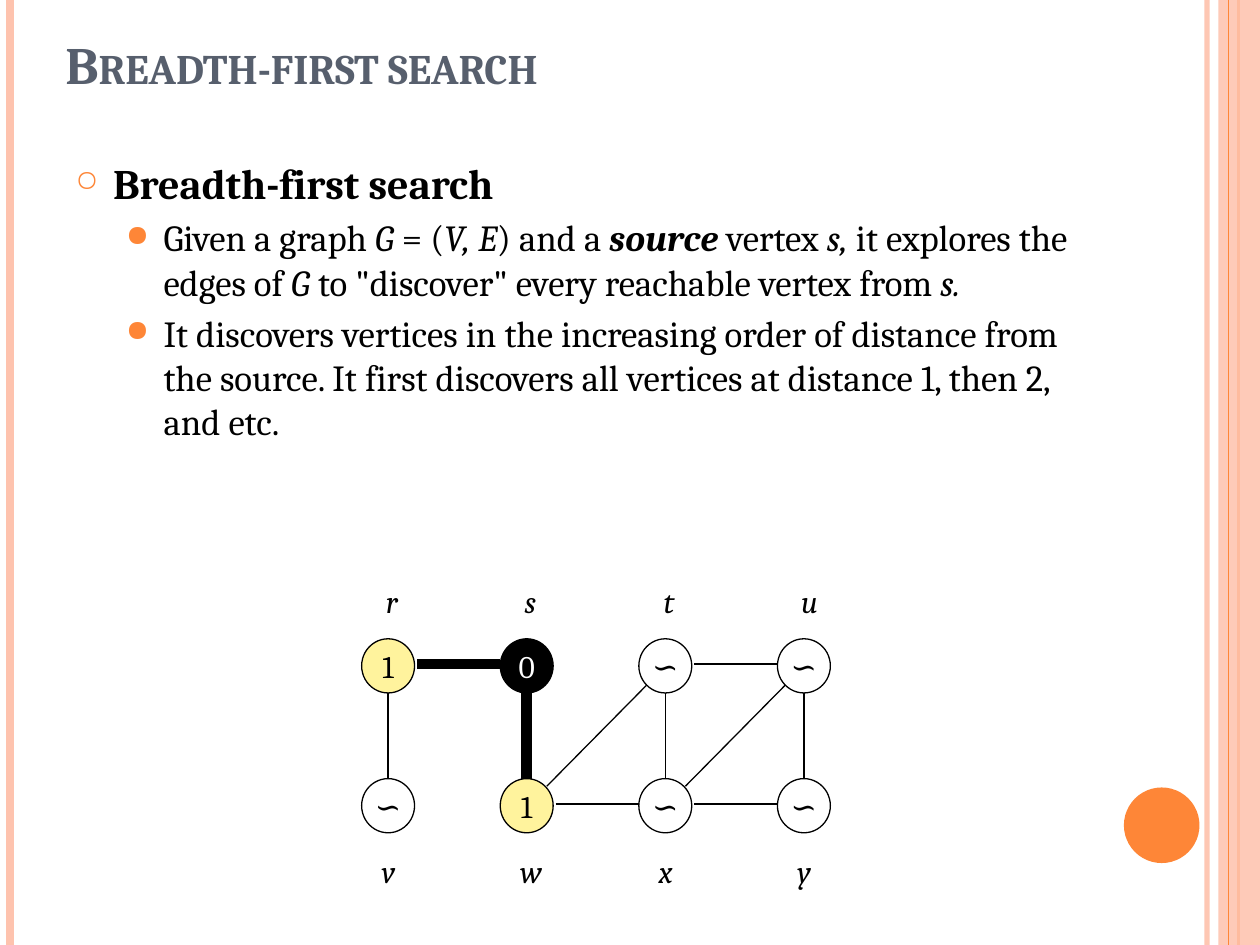
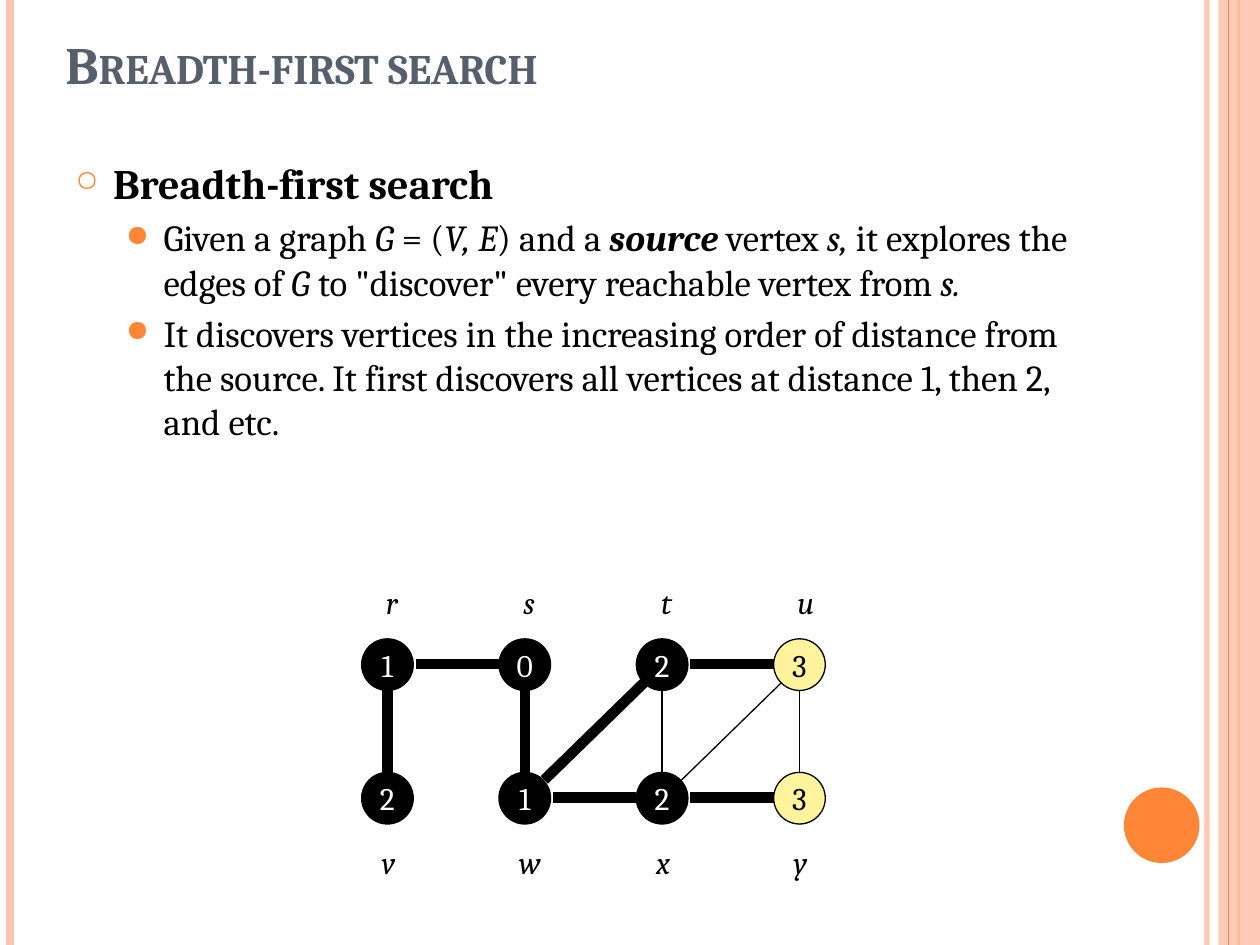
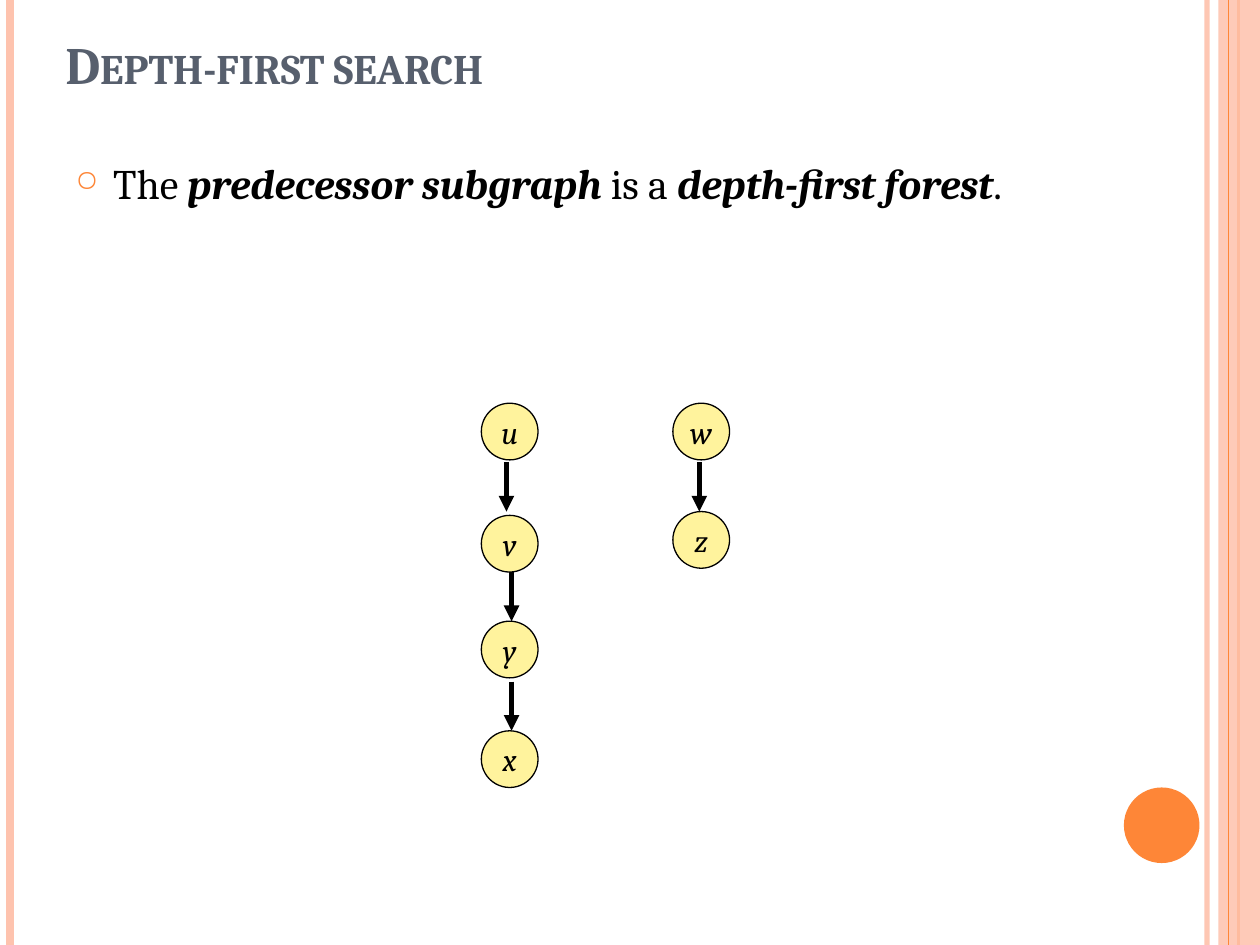
"""Three slides on breadth-first and depth-first graph search."""
from lxml import etree
from pptx import Presentation
from pptx.dml.color import RGBColor
from pptx.enum import shapes, text
from pptx.oxml.ns import qn
from pptx.util import Inches, Pt

BLACK = RGBColor(0, 0, 0)
WHITE = RGBColor(255, 255, 255)
YELLOW = RGBColor(0xFF, 0xF3, 0x9D)
ORANGE = RGBColor(0xFE, 0x86, 0x37)
PEACH = RGBColor(0xFE, 0xC3, 0xAE)
SLATE = RGBColor(0x57, 0x5F, 0x6D)
FONT = "Cambria"
OVAL = shapes.MSO_SHAPE.OVAL
RECT = shapes.MSO_SHAPE.RECTANGLE

LEVELS = [
    dict(size=24, left=0.3, gap=6, mark="○", scale=70),
    dict(size=21, left=0.7, gap=4.2, mark="●", scale=80),
]
BREADTH = [
    (0, [("Breadth-first search", "b")]),
    (1, [("Given a graph ", ""), ("G ", "i"), ("= (", ""), ("V, E", "i"),
         (") and a ", ""), ("source ", "bi"), ("vertex ", ""), ("s, ", "i"),
         ("it explores the edges of ", ""), ("G ", "i"),
         ('to "discover" every reachable vertex from ', ""), ("s.", "i")]),
    (1, [("It discovers vertices in the increasing order of distance from "
          "the source. It first discovers all vertices at distance 1, "
          "then 2, and etc.", "")]),
]
DEPTH = [
    (0, [("The ", ""), ("predecessor subgraph ", "bi"), ("is a", ""),
         (" depth-first forest", "bi"), (".", "")]),
]

ROWS = ["rstu", "vwxy"]
EDGES = ["vr", "rs", "ws", "wt", "wx", "xt", "xu", "xy", "tu", "yu"]
GRAPHS = [
    dict(step=1.1, tops=(5.07, 6.18), size=(0.42, 0.43), names=(4.62, 6.76),
         dist="101∽∽∽∽∽", order="rswvtxuy", done="s", seen="rw",
         tree=["rs", "ws"]),
    dict(step=1.09, tops=(5.07, 6.13), size=(0.41, 0.41), names=(4.63, 6.69),
         dist="10122233", order="rswvtxuy", done="rsvwtx", seen="uy",
         tree=["vr", "rs", "ws", "wt", "wx", "tu", "xy"]),
]
FOREST = [(3.82, [("u", 3.2), ("v", 4.09), ("y", 4.93), ("x", 5.8)]),
          (5.34, [("w", 3.2), ("z", 4.06)])]
ARROWS = [(4.02, 3.67), (4.06, 4.54), (4.06, 5.41), (5.55, 3.67)]


def style(run, size, color, marks=""):
    """Set the font of a run; marks may hold b and i."""
    font = run.font
    font.name, font.size = FONT, Pt(size)
    font.color.rgb = color
    font.bold, font.italic = "b" in marks, "i" in marks


def fade(fill, share):
    """Make a solid colour partly transparent."""
    color = fill._xPr.find(qn("a:solidFill"))[0]
    etree.SubElement(color, qn("a:alpha"), val=str(share * 1000))


def line(slide, start, end, color=BLACK, width=0.75, arrow=False):
    """Draw a straight line between two points."""
    ends = [Inches(v) for v in (*start, *end)]
    link = slide.shapes.add_connector(shapes.MSO_CONNECTOR.STRAIGHT, *ends)
    link.line.color.rgb = color
    link.line.width = Pt(width)
    props = link._element.spPr
    if arrow:
        etree.SubElement(props.find(qn("a:ln")), qn("a:tailEnd"),
                         type="triangle")
    etree.SubElement(props, qn("a:effectLst"))
    return link


def shape(slide, kind, box, fill=None, edge=None):
    """Draw a preset shape."""
    item = slide.shapes.add_shape(kind, *[Inches(v) for v in box])
    item.shadow.inherit = False
    if fill is None:
        item.fill.background()
    else:
        item.fill.solid()
        item.fill.fore_color.rgb = fill
    if edge is None:
        item.line.fill.background()
    else:
        item.line.color.rgb = edge
        item.line.width = Pt(0.75)
    return item


def label(item, words, color=BLACK, marks=""):
    """Centre a short text in a shape or box."""
    frame = item.text_frame
    frame.word_wrap = False
    frame.vertical_anchor = text.MSO_ANCHOR.MIDDLE
    para = frame.paragraphs[0]
    para.text = words
    para.alignment = text.PP_ALIGN.CENTER
    style(para.runs[0], 18, color, marks)


def textbox(slide, box):
    """Add an empty text box."""
    return slide.shapes.add_textbox(*[Inches(v) for v in box])


def bullet(para, level):
    """Set indent and bullet of a paragraph."""
    props = para._p.get_or_add_pPr()
    props.set("marL", str(Inches(level["left"])))
    props.set("indent", str(Inches(-0.3)))
    tint = etree.SubElement(props, qn("a:buClr"))
    etree.SubElement(tint, qn("a:srgbClr"), val=str(ORANGE))
    etree.SubElement(props, qn("a:buSzPct"), val=str(level["scale"] * 1000))
    etree.SubElement(props, qn("a:buChar"), char=level["mark"])


def base(deck, title, body):
    """Add a slide with bands, title and bullets."""
    slide = deck.slides.add_slide(deck.slide_layouts[6])
    edge = line(slide, (9.58, 0), (9.58, 7.5), PEACH, 3)
    fade(edge.line.fill, 93)
    line(slide, (0.08, 0), (0.08, 7.5), PEACH, 4.5)
    line(slide, (9.83, 0), (9.83, 7.5), ORANGE, 1.5)
    band = shape(slide, RECT, (9.67, 0, 0.33, 7.5), PEACH)
    fade(band.fill, 87)
    line(slide, (9.75, 0), (9.75, 7.5), ORANGE)
    shape(slide, OVAL, (8.92, 6.25, 0.6, 0.6), ORANGE)

    frame = textbox(slide, (0.42, 0.08, 8.17, 0.72)).text_frame
    frame.word_wrap = True
    frame.vertical_anchor = text.MSO_ANCHOR.BOTTOM
    frame.text = title
    run = frame.paragraphs[0].runs[0]
    style(run, 30, SLATE, "b")
    run.font._element.set("cap", "small")

    frame = textbox(slide, (0.5, 1.2, 8.17, 5.88)).text_frame
    frame.word_wrap = True
    for i, (depth, runs) in enumerate(body):
        level = LEVELS[depth]
        para = frame.add_paragraph() if i else frame.paragraphs[0]
        bullet(para, level)
        if i:
            para.space_before = Pt(level["gap"])
        for words, marks in runs:
            run = para.add_run()
            run.text = words
            style(run, level["size"], BLACK, marks)
    return slide


def graph(slide, step, tops, size, names, dist, order, done, seen, tree):
    """Draw one state of the breadth-first search."""
    wide, high = size
    spots = {v: (2.87 + step * i, top)
             for row, top in zip(ROWS, tops) for i, v in enumerate(row)}
    for pair in EDGES:
        (x, y), (right, top) = (spots[v] for v in pair)
        if x == right:
            ends = (x + wide / 2, y), (x + wide / 2, top + high)
        elif y == top:
            ends = (x + wide + 0.02, y + 0.2), (right, y + 0.2)
        else:
            ends = (x + wide - 0.05, y + 0.06), (right + 0.06, top + high - 0.06)
        line(slide, *ends, width=6 if pair in tree else 0.75)
    for v, far in zip(order, dist):
        fill = BLACK if v in done else YELLOW if v in seen else None
        node = shape(slide, OVAL, (*spots[v], wide, high), fill, BLACK)
        label(node, far, WHITE if v in done else BLACK)
    for row, top, shift in zip(ROWS, names, (0.09, 0.06)):
        for v in row:
            box = textbox(slide, (spots[v][0] + shift, top, 0.3, 0.3))
            label(box, v, marks="i")


def forest(slide):
    """Draw the depth-first trees."""
    for left, nodes in FOREST:
        for v, top in nodes:
            node = shape(slide, OVAL, (left, top, 0.45, 0.45), YELLOW, BLACK)
            label(node, v, marks="i")
    for x, y in ARROWS:
        line(slide, (x, y), (x, y + 0.39), width=3, arrow=True)


def main():
    """Build and save the deck."""
    deck = Presentation()
    deck.slide_width, deck.slide_height = Inches(10), Inches(7.5)
    for state in GRAPHS:
        graph(base(deck, "Breadth-first search", BREADTH), **state)
    forest(base(deck, "Depth-first search", DEPTH))
    deck.save("out.pptx")


if __name__ == "__main__":
    main()
